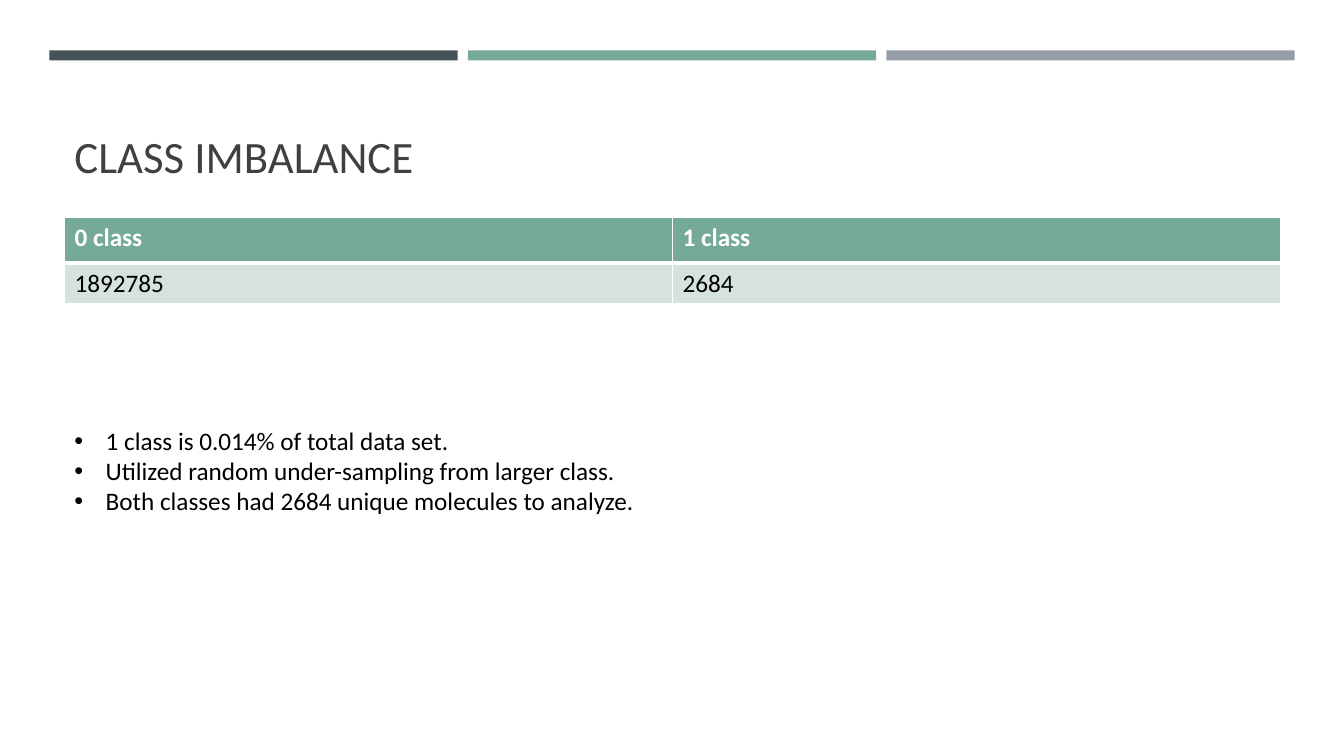
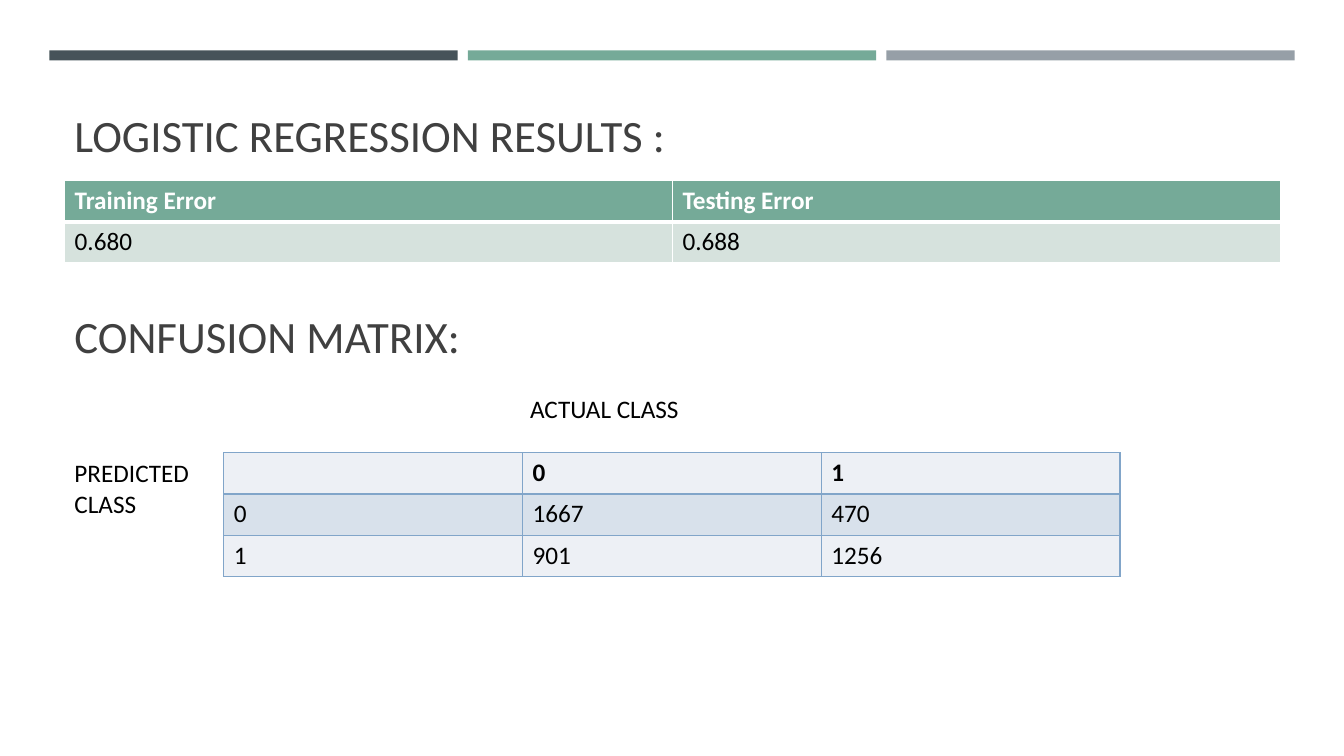
from dataclasses import dataclass

from pptx import Presentation
from pptx.dml.color import RGBColor
from pptx.enum.shapes import MSO_SHAPE
from pptx.enum.text import MSO_ANCHOR
from pptx.oxml.ns import qn
from pptx.util import Inches, Pt
from lxml import etree

RECTANGLE = MSO_SHAPE.RECTANGLE
TOP, BOTTOM = MSO_ANCHOR.TOP, MSO_ANCHOR.BOTTOM


@dataclass(frozen=True)
class Theme:
    font: str = "Calibri"
    title_size: int = 32
    body_size: int = 18
    title: str = "404040"
    text: str = "000000"
    white: str = "FFFFFF"
    slate: str = "465359"
    green: str = "75AA98"
    gray: str = "969FA7"
    pale_green: str = "D6E2DD"
    blue_line: str = "81A5C9"
    light_blue: str = "EDF0F5"
    pale_blue: str = "D8E1EB"


THEME = Theme()
MARGIN, CONTENT_WIDTH = 0.64, 12.06

# Content
IMBALANCE_TITLE = "CLASS IMBALANCE"
CLASS_COUNTS = [("0 class", "1 class"), ("1892785", "2684")]
IMBALANCE_POINTS = [
    "1 class is 0.014% of total data set.",
    "Utilized random under-sampling from larger class.",
    "Both classes had 2684 unique molecules to analyze.",
]
RESULTS_TITLE = "LOGISTIC REGRESSION RESULTS :"
ERRORS = [("Training Error", "Testing Error"), ("0.680", "0.688")]
MATRIX_TITLE = "CONFUSION MATRIX:"
ACTUAL_LABEL = ["ACTUAL CLASS"]
PREDICTED_LABEL = ["PREDICTED", "CLASS"]
CONFUSION_MATRIX = [("", "0", "1"), ("0", "1667", "470"), ("1", "901", "1256")]

# Table looks: fills by row, header text colour, line colour, width under header
GREEN_TABLE = dict(fills=(THEME.green, THEME.pale_green), header=THEME.white,
                   line=THEME.white, rule=3)
BLUE_TABLE = dict(fills=(THEME.light_blue, THEME.pale_blue), header=THEME.text,
                  line=THEME.blue_line, rule=1)


def color(value):
    return RGBColor.from_string(value)


def add_run(paragraph, text, size, text_color, bold=False):
    run = paragraph.add_run()
    run.text = text
    run.font.name = THEME.font
    run.font.size = Pt(size)
    run.font.bold = bold
    run.font.color.rgb = color(text_color)


def add_bullet(paragraph):
    properties = paragraph._p.get_or_add_pPr()
    properties.set("marL", str(Inches(0.31)))
    properties.set("indent", str(-Inches(0.31)))
    etree.SubElement(properties, qn("a:buFont")).set("typeface", "Arial")
    etree.SubElement(properties, qn("a:buChar")).set("char", "•")


def add_text(slide, lines, left, top, width, height, size=THEME.body_size,
             text_color=THEME.text, anchor=TOP, bullets=False):
    box = slide.shapes.add_textbox(Inches(left), Inches(top), Inches(width), Inches(height))
    frame = box.text_frame
    frame.word_wrap = True
    frame.vertical_anchor = anchor
    for index, line in enumerate(lines):
        paragraph = frame.add_paragraph() if index else frame.paragraphs[0]
        if bullets:
            add_bullet(paragraph)
        add_run(paragraph, line, size, text_color)


def add_title(slide, text, top, height=0.77):
    add_text(slide, [text], MARGIN, top, CONTENT_WIDTH, height,
             THEME.title_size, THEME.title, BOTTOM)


def add_borders(cell, line_color, widths):
    properties = cell._tc.get_or_add_tcPr()
    for side, width in widths.items():
        line = etree.SubElement(properties, qn(f"a:ln{side}"), w=str(Pt(width)))
        fill = etree.SubElement(line, qn("a:solidFill"))
        etree.SubElement(fill, qn("a:srgbClr")).set("val", line_color)


def add_table(slide, rows, left, top, width, row_heights, look):
    columns = len(rows[0])
    table = slide.shapes.add_table(len(rows), columns, Inches(left), Inches(top),
                                   Inches(width), Inches(sum(row_heights))).table
    table.horz_banding = False
    for column in table.columns:
        column.width = Inches(width / columns)
    for row_index, values in enumerate(rows):
        is_header = row_index == 0
        table.rows[row_index].height = Inches(row_heights[row_index])
        widths = dict(L=1, R=1, T=look["rule"] if row_index == 1 else 1,
                      B=look["rule"] if is_header else 1)
        for column_index, value in enumerate(values):
            cell = table.cell(row_index, column_index)
            add_borders(cell, look["line"], widths)
            cell.fill.solid()
            cell.fill.fore_color.rgb = color(look["fills"][row_index % 2])
            if value:
                add_run(cell.text_frame.paragraphs[0], value, THEME.body_size,
                        look["header"] if is_header else THEME.text, is_header)


def new_slide(presentation):
    slide = presentation.slides.add_slide(presentation.slide_layouts[6])
    # Three bands across the top
    width, gap = 4.05, 0.1
    for index, band_color in enumerate((THEME.slate, THEME.green, THEME.gray)):
        band = slide.shapes.add_shape(RECTANGLE, Inches(0.49 + index * (width + gap)),
                                      Inches(0.5), Inches(width), Inches(0.1))
        band.shadow.inherit = False
        band.fill.solid()
        band.fill.fore_color.rgb = color(band_color)
        band.line.fill.background()
    return slide


def build_imbalance(presentation):
    slide = new_slide(presentation)
    add_title(slide, IMBALANCE_TITLE, 1.07, 0.79)
    add_table(slide, CLASS_COUNTS, MARGIN, 2.16, CONTENT_WIDTH, (0.45, 0.4), GREEN_TABLE)
    add_text(slide, IMBALANCE_POINTS, MARGIN, 4.17, 9.88, 1.01, bullets=True)


def build_results(presentation):
    slide = new_slide(presentation)
    add_title(slide, RESULTS_TITLE, 0.88)
    add_table(slide, ERRORS, MARGIN, 1.79, CONTENT_WIDTH, (0.41,) * 2, GREEN_TABLE)
    add_title(slide, MATRIX_TITLE, 2.88)
    # Confusion matrix with its axis labels
    matrix_top = 4.49
    add_text(slide, ACTUAL_LABEL, 5.16, 3.85, 2, 0.4)
    add_text(slide, PREDICTED_LABEL, MARGIN, matrix_top, 1.38, 0.71)
    add_table(slide, CONFUSION_MATRIX, 2.22, matrix_top, 8.89, (0.41,) * 3, BLUE_TABLE)


def main():
    presentation = Presentation()
    presentation.slide_width = Inches(13.33)
    presentation.slide_height = Inches(7.5)
    build_imbalance(presentation)
    build_results(presentation)
    presentation.save("out.pptx")


if __name__ == "__main__":
    main()
